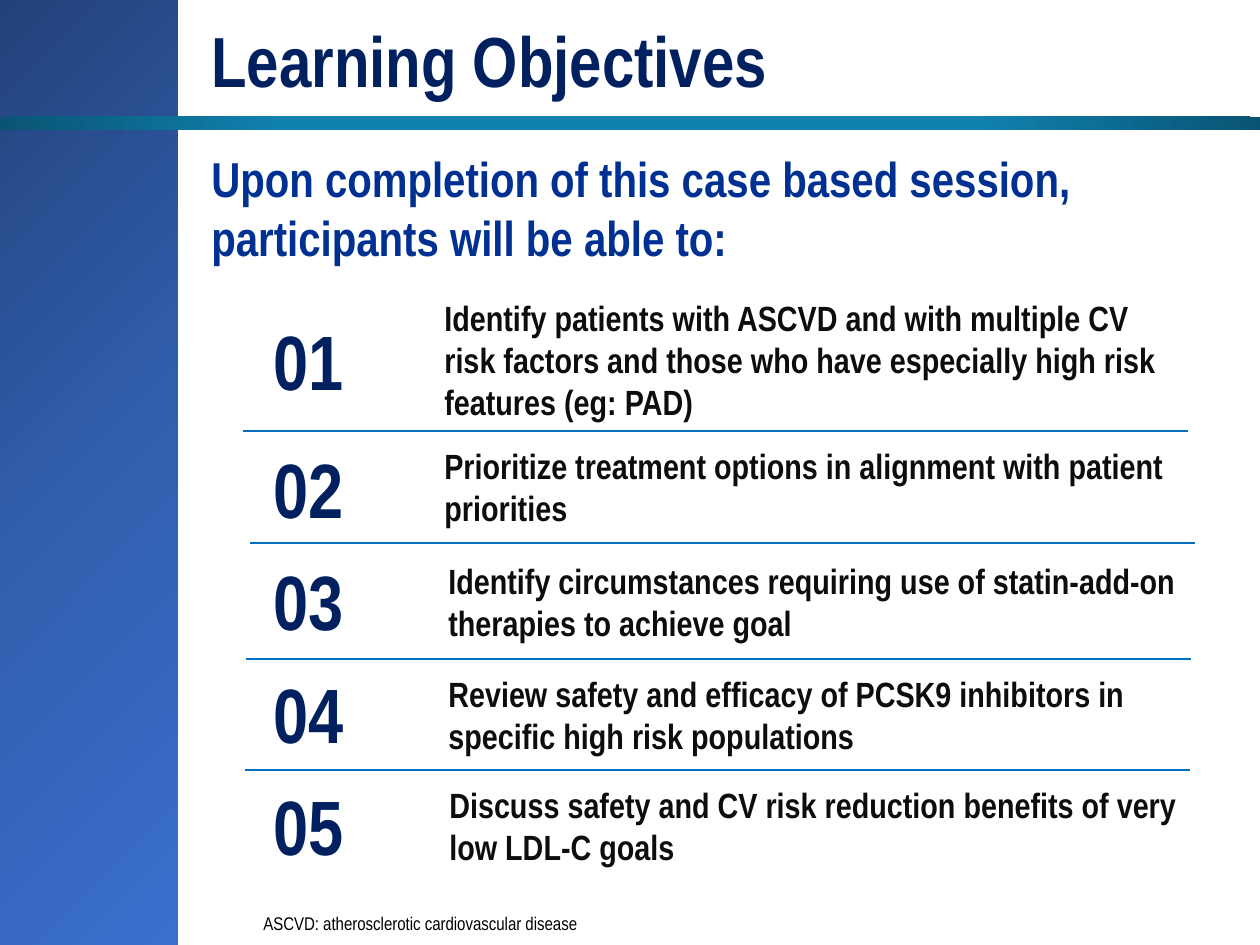
from lxml.etree import SubElement
from pptx import Presentation
from pptx.dml.color import RGBColor
from pptx.enum.shapes import MSO_CONNECTOR, MSO_SHAPE
from pptx.enum.text import MSO_AUTO_SIZE
from pptx.oxml import parse_xml
from pptx.oxml.ns import nsdecls, qn
from pptx.util import Pt

SCALE = 914400 / 126
NAVY = RGBColor(0x00, 0x20, 0x60)
BLUE = RGBColor(0x00, 0x31, 0x92)
INK = RGBColor(0x0D, 0x0D, 0x0D)
BLACK = RGBColor(0x00, 0x00, 0x00)
RULE = RGBColor(0x00, 0x70, 0xC0)

FONT = "Arial Narrow"
TITLE = {"size": Pt(40.5), "bold": True, "name": FONT}
LEAD = {"size": Pt(28), "bold": True, "name": FONT}
COUNT = {"size": Pt(44), "bold": True, "name": FONT}
BODY = {"size": Pt(20), "bold": True, "name": FONT}
NOTE = {"size": Pt(10.5), "bold": False, "name": FONT}

LINEAR = '<a:lin ang="2700000" scaled="0"/>'
RADIAL = ('<a:path path="circle"><a:fillToRect l="50000" t="50000" '
          'r="50000" b="50000"/></a:path>')
PANELS = [
    ((-3, 0, 181, 945), [(0, "23427A"), (50, "315EAD"), (100, "3A6FCE")], LINEAR),
    ((-3, 117, 1263, 13), [(0, "1181AE"), (55, "1181AE"), (100, "095474")], RADIAL),
]
TEXTS = [
    ("Learning Objectives", (199, 10, 1061, 98), TITLE, NAVY),
    ("Upon completion of this case based session, participants will be able to:",
     (199, 142, 1014, 131), LEAD, BLUE),
    ("ASCVD: atherosclerotic cardiovascular disease", (251, 906, 692, 36), NOTE, BLACK),
]
GOALS = [
    ("Identify patients with ASCVD and with multiple CV risk factors and those "
     "who have especially high risk features (eg: PAD)", 307, (432, 290, 140)),
    ("Prioritize treatment options in alignment with patient priorities",
     435, (432, 438, 97)),
    ("Identify circumstances requiring use of statin-add-on therapies to achieve goal",
     547, (436, 553, 97)),
    ("Review safety and efficacy of PCSK9 inhibitors in specific high risk populations",
     660, (436, 666, 97)),
    ("Discuss safety and CV risk reduction benefits of very low LDL-C goals",
     772, (437, 777, 97)),
]
RULES = [(243, 431), (250, 543), (246, 659), (245, 770)]


def px(*nums):
    return [round(n * SCALE) for n in nums]


def panel(slide, box, stops, path):
    shape = slide.shapes.add_shape(MSO_SHAPE.RECTANGLE, *px(*box))
    shape.shadow.inherit = False
    shape.line.fill.background()
    shape.fill.solid()
    marks = "".join(f'<a:gs pos="{pos * 1000}"><a:srgbClr val="{tone}"/></a:gs>'
                    for pos, tone in stops)
    grad = parse_xml(f'<a:gradFill {nsdecls("a")} rotWithShape="1">'
                     f'<a:gsLst>{marks}</a:gsLst>{path}</a:gradFill>')
    props = shape.element.spPr
    props.replace(props.find(qn("a:solidFill")), grad)


def label(slide, text, box, style, tone, wrap=True):
    frame = slide.shapes.add_textbox(*px(*box)).text_frame
    frame.word_wrap = wrap
    frame.auto_size = MSO_AUTO_SIZE.SHAPE_TO_FIT_TEXT
    run = frame.paragraphs[0].add_run()
    run.text = text
    for key, val in style.items():
        setattr(run.font, key, val)
    run.font.color.rgb = tone


def rule(slide, left, top):
    line = slide.shapes.add_connector(
        MSO_CONNECTOR.STRAIGHT, *px(left, top, left + 945, top))
    line.line.color.rgb = RULE
    line.line.width = Pt(0.75)
    SubElement(line.element.spPr, qn("a:effectLst"))


def main():
    deck = Presentation()
    deck.slide_width, deck.slide_height = px(1260, 945)
    slide = deck.slides.add_slide(deck.slide_layouts[6])
    for item in PANELS:
        panel(slide, *item)
    for item in TEXTS:
        label(slide, *item)
    for num, (text, top, (left, head, high)) in enumerate(GOALS, 1):
        label(slide, f"{num:02}", (261, top, 97, 106), COUNT, NAVY, False)
        label(slide, text, (left, head, 755, high), BODY, INK)
    for spot in RULES:
        rule(slide, *spot)
    deck.save("out.pptx")


if __name__ == "__main__":
    main()
